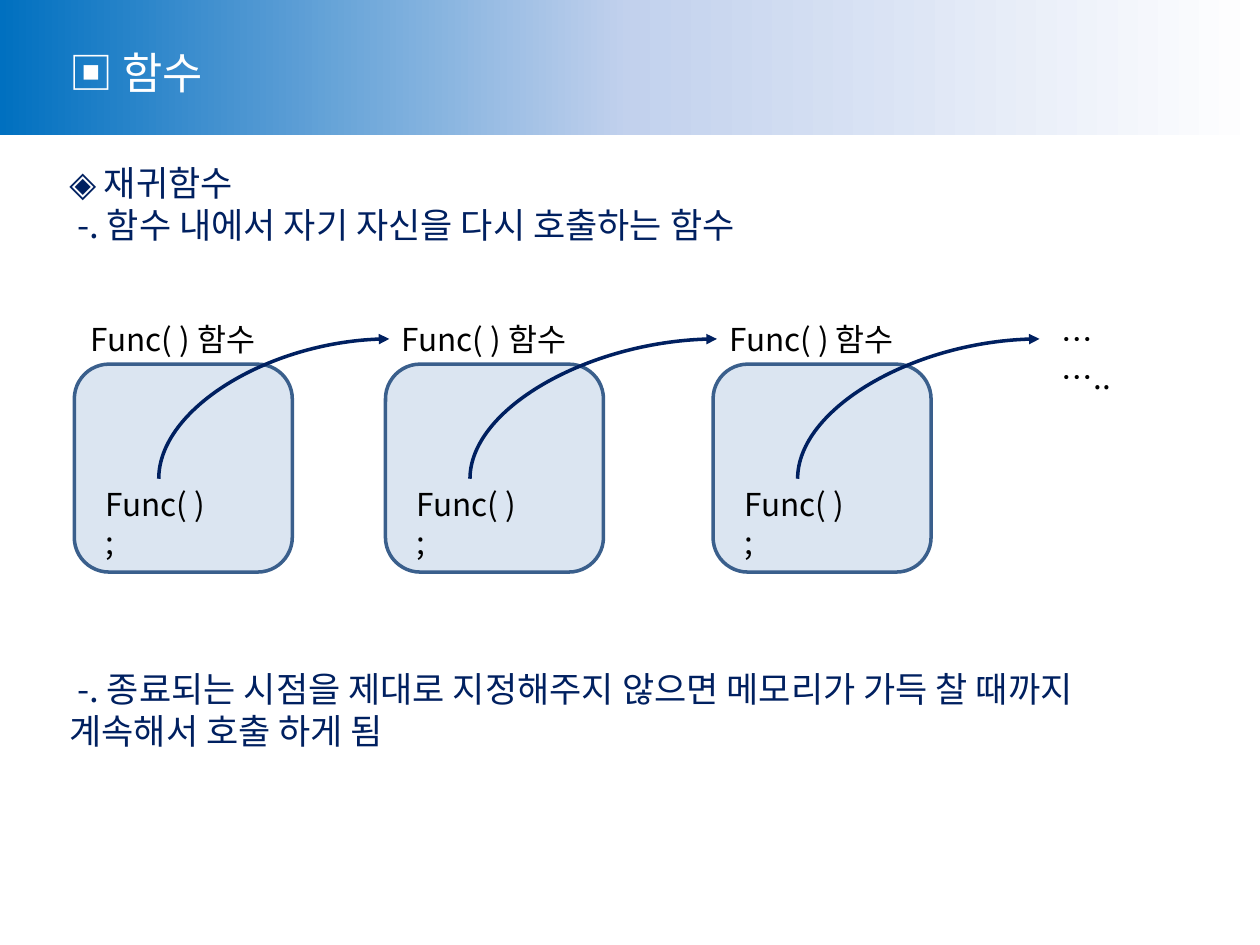
from copy import deepcopy
from pptx import Presentation
from pptx.dml.color import RGBColor
from pptx.enum.shapes import MSO_CONNECTOR as Link, MSO_SHAPE as Shape
from pptx.enum.text import MSO_ANCHOR as Anchor, MSO_AUTO_SIZE as Fit, PP_ALIGN as Align
from pptx.oxml.ns import qn
from pptx.util import Inches, Pt
from lxml.etree import SubElement

FONT = "Noto Sans CJK KR"
NAVY, BLACK, WHITE = "002060", "000000", "FFFFFF"


def paint(color, tone):
    """Set a colour from a hex string."""
    color.rgb = RGBColor.from_string(tone)


def place(shape, left, top, width, height):
    """Move and size a shape in inches."""
    shape.left, shape.top = Inches(left), Inches(top)
    shape.width, shape.height = Inches(width), Inches(height)


def write(shape, lines, size, tone):
    """Fill a shape with plain left-aligned lines."""
    frame = shape.text_frame
    frame.word_wrap = True
    frame.auto_size = Fit.NONE
    frame.vertical_anchor = Anchor.TOP
    for i, line in enumerate(lines):
        para = frame.add_paragraph() if i else frame.paragraphs[0]
        props = para._p.get_or_add_pPr()
        props.set("marL", "0")
        props.set("indent", "0")
        SubElement(props, qn("a:buNone"))
        para.alignment = Align.LEFT
        para.space_before = Pt(0)
        run = para.add_run()
        run.text = line
        run.font.size = Pt(size)
        paint(run.font.color, tone)
        run.font.name = FONT
        SubElement(run._r.get_or_add_rPr(), qn("a:ea"), typeface=FONT)


def fill_holder(holder, box, lines, size, tone):
    """Place and fill a template placeholder."""
    place(holder, *box)
    write(holder, lines, size, tone)


def add_label(shapes, box, text):
    """Add a black label."""
    label = shapes.add_textbox(*map(Inches, box))
    write(label, [text], 18, BLACK)


def add_band(slide):
    """Add the fading title band behind everything."""
    band = slide.shapes.add_shape(Shape.RECTANGLE, 0, 0, Inches(10), Inches(1.07))
    band.shadow.inherit = False
    band.line.fill.background()
    band.fill.gradient()
    band.fill.gradient_angle = 0
    stops = band._element.spPr.find(qn("a:gradFill")).find(qn("a:gsLst"))
    stops.insert(1, deepcopy(stops[0]))
    tones = [(0, "0070C0"), (0.5, "C2D1ED"), (1, WHITE)]
    for stop, (pos, tone) in zip(band.fill.gradient_stops, tones):
        stop.position = pos
        paint(stop.color, tone)
    slide.shapes._spTree.insert(2, band._element)


def add_call(slide, left):
    """Add one function frame with its name and inner call."""
    group = slide.shapes.add_group_shape().shapes
    box = group.add_shape(Shape.ROUNDED_RECTANGLE, *map(Inches, (left, 2.89, 1.73, 1.65)))
    box.shadow.inherit = False
    box.fill.solid()
    paint(box.fill.fore_color, "4F81BD")
    fill = box._element.spPr.find(qn("a:solidFill"))
    SubElement(fill[0], qn("a:alpha"), val="20000")
    paint(box.line.color, "3A5F8C")
    box.line.width = Pt(2)
    add_label(group, (left + 0.03, 2.49, 1.58, 0.4), "Func( ) 함수")
    add_label(group, (left + 0.15, 3.8, 1.04, 0.4), "Func( );")


def add_curve(slide, start, end):
    """Add a quarter-turn arrow that rises from start to end."""
    (x1, y1), (x2, y2) = start, end
    midx, midy = (x1 + x2) / 2, (y1 + y2) / 2
    dx, dy = (y1 - y2) / 2, (x2 - x1) / 2
    ends = (midx + dx, midy + dy, midx - dx, midy - dy)
    curve = slide.shapes.add_connector(Link.CURVE, *map(Inches, ends))
    paint(curve.line.color, NAVY)
    curve.line.width = Pt(2)
    props = curve._element.spPr
    props.find(qn("a:xfrm")).set("rot", "5400000")
    props.find(qn("a:prstGeom")).set("prst", "curvedConnector2")
    SubElement(props.find(qn("a:ln")), qn("a:tailEnd"), type="triangle")
    SubElement(props, qn("a:effectLst"))


def main():
    """Build the recursion slide."""
    deck = Presentation()
    deck.slide_width, deck.slide_height = Inches(10), Inches(7.5)
    slide = deck.slides.add_slide(deck.slide_layouts[3])
    title, intro, note = slide.placeholders
    add_band(slide)
    fill_holder(title, (0.45, 0.31, 1.38, 0.52), ["▣ 함수"], 25, WHITE)
    fill_holder(intro, (0.45, 1.23, 9.2, 0.77),
                ["◈ 재귀함수", " -. 함수 내에서 자기 자신을 다시 호출하는 함수"], 20, NAVY)
    fill_holder(note, (0.45, 5.25, 9.2, 0.77),
                [" -. 종료되는 시점을 제대로 지정해주지 않으면 메모리가 가득 찰 때까지 계속해서 호출 하게 됨"],
                20, NAVY)
    lefts = [0.59, 3.06, 5.66]
    for left in lefts:
        add_call(slide, left)
    for left, goal in zip(lefts, [3.09, 5.69, 8.25]):
        add_curve(slide, (left + 0.67, 3.8), (goal, 2.69))
    add_label(slide.shapes, (8.33, 2.49, 0.69, 0.4), "……..")
    deck.save("out.pptx")


if __name__ == "__main__":
    main()
